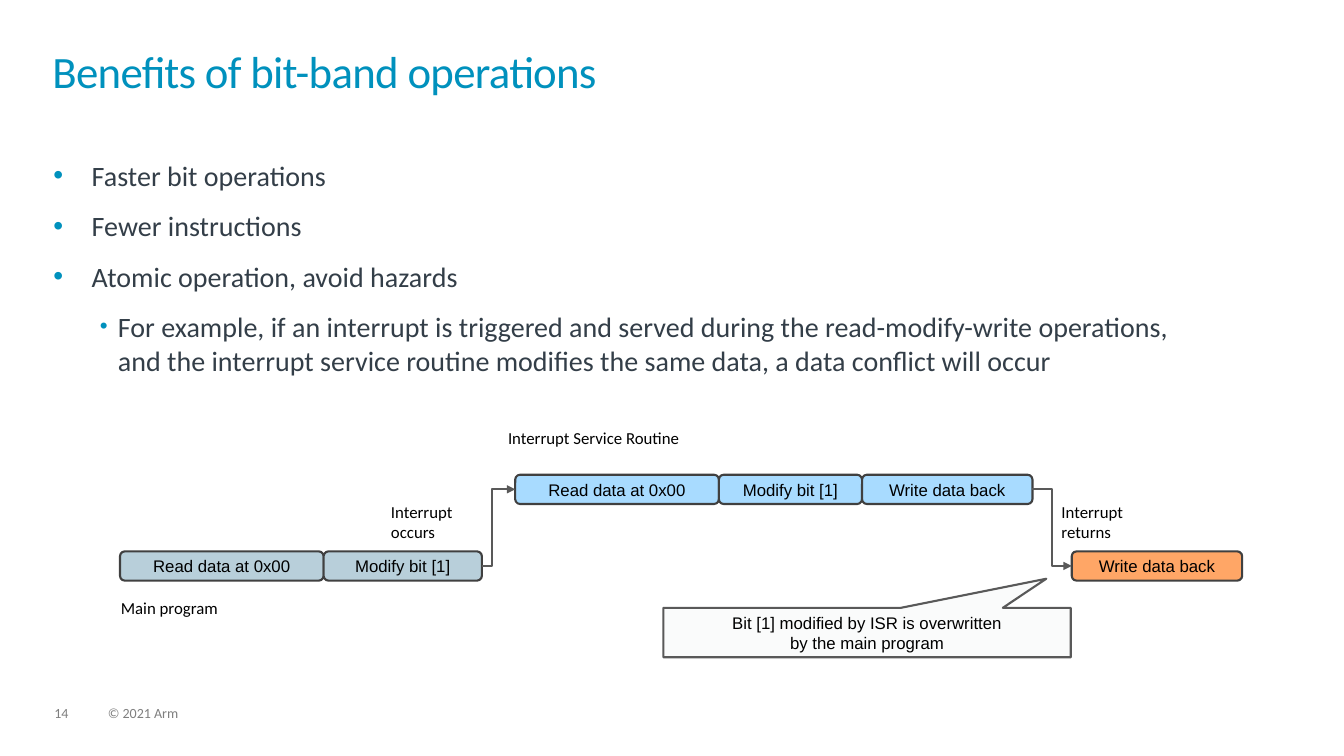
from dataclasses import dataclass

from lxml.etree import SubElement
from pptx import Presentation
from pptx.dml.color import RGBColor
from pptx.enum.shapes import MSO_CONNECTOR, MSO_SHAPE
from pptx.enum.text import MSO_ANCHOR, MSO_AUTO_SIZE, PP_ALIGN
from pptx.oxml.ns import qn
from pptx.util import Inches, Pt


@dataclass(frozen=True)
class Theme:
    text_font: str = "Calibri"
    step_font: str = "Arial"
    title_size: int = 32
    body_size: int = 20
    label_size: int = 12
    footer_size: int = 10
    accent: RGBColor = RGBColor.from_string("0091BD")
    body: RGBColor = RGBColor.from_string("333E48")
    black: RGBColor = RGBColor.from_string("000000")
    footer: RGBColor = RGBColor.from_string("7F7F7F")
    border: RGBColor = RGBColor.from_string("404040")
    arrow: RGBColor = RGBColor.from_string("595959")
    main_program: RGBColor = RGBColor.from_string("B8CFDA")
    interrupt: RGBColor = RGBColor.from_string("A8DBFF")
    conflict: RGBColor = RGBColor.from_string("FFA666")
    callout: RGBColor = RGBColor.from_string("FAFBFB")


class SlideBuilder:
    def __init__(self, slide, theme):
        self.slide = slide
        self.theme = theme

    def format_runs(self, text_frame, font_name, size, color):
        for paragraph in text_frame.paragraphs:
            for run in paragraph.runs:
                run.font.name = font_name
                run.font.size = Pt(size)
                run.font.color.rgb = color

    def place(self, shape, left, top, width, height):
        shape.left, shape.top = Inches(left), Inches(top)
        shape.width, shape.height = Inches(width), Inches(height)

    def reset_frame(self, text_frame):
        """Remove the insets and shrinking, and start the text at the top."""
        text_frame.margin_left = text_frame.margin_right = 0
        text_frame.margin_top = text_frame.margin_bottom = 0
        text_frame.word_wrap = True
        text_frame.auto_size = MSO_AUTO_SIZE.NONE
        text_frame.vertical_anchor = MSO_ANCHOR.TOP

    def title(self, text):
        shape = self.slide.shapes.title
        self.place(shape, 0.52, 0.52, 12.28, 0.72)
        text_frame = shape.text_frame
        self.reset_frame(text_frame)
        text_frame.text = text
        paragraph = text_frame.paragraphs[0]
        paragraph.alignment = PP_ALIGN.LEFT
        paragraph.line_spacing = 0.85
        self.format_runs(text_frame, self.theme.text_font, self.theme.title_size, self.theme.accent)
        paragraph.runs[0].font._element.set("spc", "-50")

    def bullet(self, paragraph, margin, hanging, percent):
        properties = paragraph._p.get_or_add_pPr()
        properties.set("marL", str(Inches(margin)))
        properties.set("indent", str(-Inches(hanging)))
        color = SubElement(properties, qn("a:buClr"))
        SubElement(color, qn("a:srgbClr"), val=str(self.theme.accent))
        SubElement(properties, qn("a:buSzPct"), val=str(percent * 1000))
        SubElement(properties, qn("a:buFont"), typeface="Arial")
        SubElement(properties, qn("a:buChar"), char="•")

    def bullet_list(self, items):
        """Fill the body placeholder with (level, text) items."""
        shape = self.slide.placeholders[1]
        self.place(shape, 0.53, 1.57, 11.39, 5.12)
        text_frame = shape.text_frame
        self.reset_frame(text_frame)
        text_frame.text = "\n".join(text for _, text in items)
        level_styles = [(0.38, 0.38, 100), (0.64, 0.18, 80)]
        for index, (level, _) in enumerate(items):
            paragraph = text_frame.paragraphs[index]
            paragraph.level = level
            paragraph.space_before = Pt(12 if index else 0)
            self.bullet(paragraph, *level_styles[level])
        self.format_runs(text_frame, self.theme.text_font, self.theme.body_size, self.theme.body)

    def text_box(self, text, left, top, width, height, size, color):
        shape = self.slide.shapes.add_textbox(
            Inches(left), Inches(top), Inches(width), Inches(height))
        shape.text_frame.word_wrap = True
        shape.text_frame.text = text
        self.format_runs(shape.text_frame, self.theme.text_font, size, color)
        return shape.text_frame

    def label(self, text, left, top, width, height):
        self.text_box(text, left, top, width, height, self.theme.label_size, self.theme.black)

    def footer(self, text, left, width):
        text_frame = self.text_box(
            text, left, 7.01, width, 0.15, self.theme.footer_size, self.theme.footer)
        self.reset_frame(text_frame)
        text_frame.paragraphs[0].line_spacing = 0.9

    def box(self, preset, text, left, top, width, height, fill, border):
        shape = self.slide.shapes.add_shape(
            preset, Inches(left), Inches(top), Inches(width), Inches(height))
        shape.shadow.inherit = False
        shape.fill.solid()
        shape.fill.fore_color.rgb = fill
        shape.line.color.rgb = border
        shape.line.width = Pt(1.5)
        text_frame = shape.text_frame
        text_frame.word_wrap = False
        text_frame.vertical_anchor = MSO_ANCHOR.MIDDLE
        text_frame.text = text
        for paragraph in text_frame.paragraphs:
            paragraph.alignment = PP_ALIGN.CENTER
        self.format_runs(text_frame, self.theme.step_font, self.theme.label_size, self.theme.black)
        return shape

    def steps(self, left, top, fill, items):
        """Lay (text, width) steps edge to edge and return their shapes."""
        shapes = []
        for text, width in items:
            shapes.append(self.box(MSO_SHAPE.ROUNDED_RECTANGLE, text, left, top,
                                   width, 0.29, fill, self.theme.border))
            left += width
        return shapes

    def elbow_arrow(self, source, target, bend):
        """Join the right side of source to the left side of target."""
        connector = self.slide.shapes.add_connector(
            MSO_CONNECTOR.ELBOW,
            source.left + source.width, source.top + source.height // 2,
            target.left, target.top + target.height // 2)
        connector.begin_connect(source, 3)
        connector.end_connect(target, 1)
        connector.line.color.rgb = self.theme.arrow
        connector.line.width = Pt(1.5)
        properties = connector._element.spPr
        adjustments = properties.find(qn("a:prstGeom")).find(qn("a:avLst"))
        SubElement(adjustments, qn("a:gd"), name="adj1", fmla=f"val {round(bend * 100000)}")
        SubElement(connector.line._get_or_add_ln(), qn("a:tailEnd"), type="triangle")
        SubElement(properties, qn("a:effectLst"))

    def callout(self, text, left, top, width, height, tip):
        shape = self.box(MSO_SHAPE.RECTANGULAR_CALLOUT, text, left, top, width, height,
                         self.theme.callout, self.theme.arrow)
        shape.adjustments[0], shape.adjustments[1] = tip


def main():
    presentation = Presentation()
    presentation.slide_width = Inches(13.33)
    presentation.slide_height = Inches(7.5)
    slide = presentation.slides.add_slide(presentation.slide_layouts[1])
    theme = Theme()
    builder = SlideBuilder(slide, theme)

    builder.footer("14", 0.54, 0.34)
    builder.footer("© 2021 Arm", 1.07, 5.07)
    builder.title("Benefits of bit-band operations")
    builder.bullet_list([
        (0, "Faster bit operations"),
        (0, "Fewer instructions"),
        (0, "Atomic operation, avoid hazards"),
        (1, "For example, if an interrupt is triggered and served during the "
            "read-modify-write operations, and the interrupt service routine "
            "modifies the same data, a data conflict will occur"),
    ])

    read_step = ("Read data at 0x00", 2.02)
    write_step = ("Write data back", 1.69)
    main_top, interrupt_top = 5.47, 4.71
    main_steps = builder.steps(1.19, main_top, theme.main_program,
                               [read_step, ("Modify bit [1]", 1.57)])
    interrupt_steps = builder.steps(5.11, interrupt_top, theme.interrupt,
                                    [read_step, ("Modify bit [1]", 1.42), write_step])
    resumed_steps = builder.steps(10.63, main_top, theme.conflict, [write_step])
    builder.elbow_arrow(main_steps[-1], interrupt_steps[0], 0.3)
    builder.elbow_arrow(interrupt_steps[-1], resumed_steps[0], 0.5)

    builder.callout("Bit [1] modified by ISR is overwritten\nby the main program",
                    6.58, 6.03, 4.04, 0.49, (0.44, -1.089))
    builder.label("Interrupt occurs", 3.78, 4.93, 1.27, 0.5)
    builder.label("Interrupt returns", 10.43, 4.93, 1.27, 0.5)
    builder.label("Interrupt Service Routine", 4.94, 4.19, 2.89, 0.3)
    builder.label("Main program", 1.1, 5.88, 2.89, 0.3)

    presentation.save("out.pptx")


if __name__ == "__main__":
    main()
